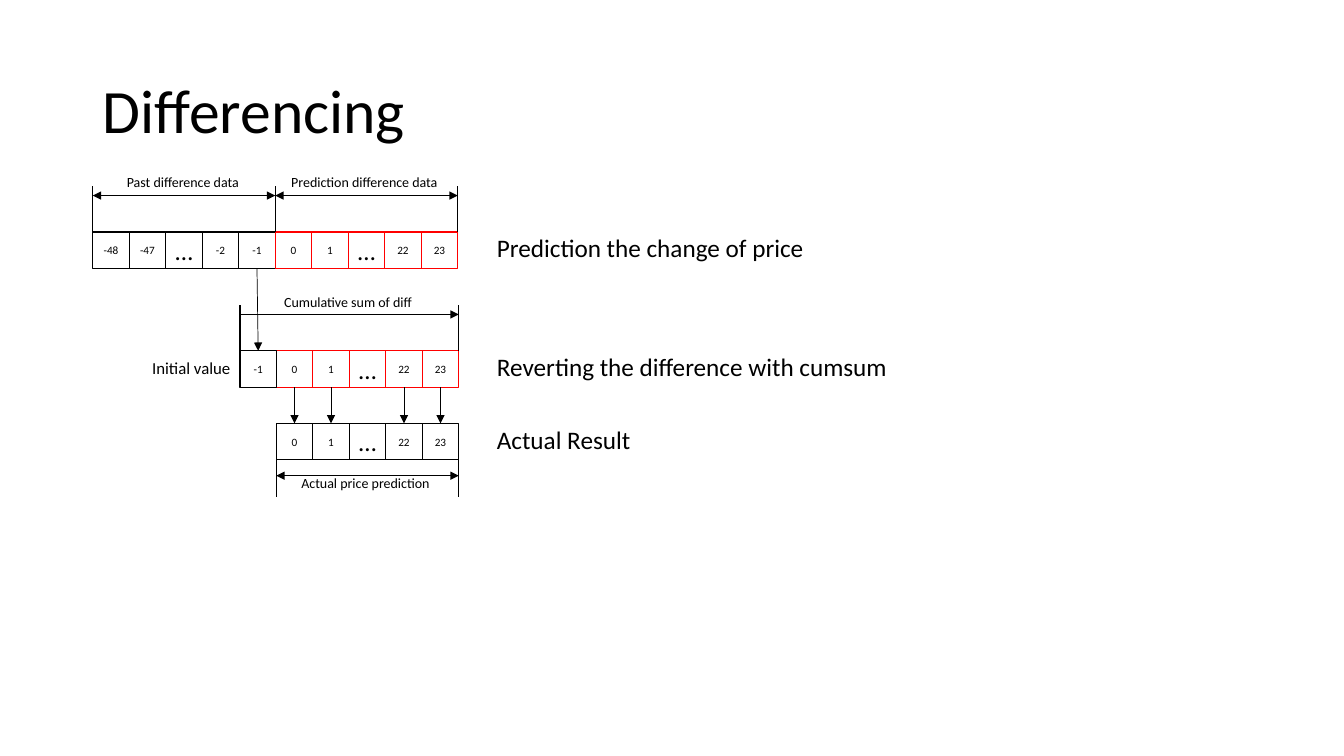
from itertools import pairwise

from lxml.etree import SubElement
from pptx import Presentation
from pptx.dml.color import RGBColor
from pptx.enum.shapes import MSO_CONNECTOR, MSO_SHAPE
from pptx.enum.text import MSO_ANCHOR, PP_ALIGN
from pptx.oxml.ns import qn
from pptx.util import Inches, Pt

BLACK = "000000"
RED = "FF0000"
CELL = 1.81 / 5
TICK_HEIGHT = 0.45
FUTURE = ["0", "1", "…", "22", "23"]


def color(value):
    return RGBColor.from_string(value)


def write(shape, text, size=10, align=PP_ALIGN.LEFT, anchor=MSO_ANCHOR.TOP, wrap=True, spacing=1.0):
    frame = shape.text_frame
    frame.word_wrap = wrap
    frame.vertical_anchor = anchor
    para = frame.paragraphs[0]
    para.alignment = align
    para.line_spacing = spacing
    span = para.add_run()
    span.text = text
    span.font.name = "Calibri"
    span.font.size = Pt(size)
    span.font.color.rgb = color(BLACK)


def add_label(page, text, left, top, width, height, **style):
    box = page.shapes.add_textbox(Inches(left), Inches(top), Inches(width), Inches(height))
    write(box, text, **style)


def add_cell(page, text, left, top, outline):
    box = page.shapes.add_shape(
        MSO_SHAPE.RECTANGLE, Inches(left), Inches(top), Inches(CELL), Inches(CELL))
    box.shadow.inherit = False
    box.fill.background()
    box.line.color.rgb = color(outline)
    box.line.width = Pt(1)
    frame = box.text_frame
    frame.margin_left = frame.margin_right = frame.margin_top = frame.margin_bottom = 0
    write(box, text, size=18 if text == "…" else 8,
          align=PP_ALIGN.CENTER, anchor=MSO_ANCHOR.MIDDLE, wrap=False)
    return box


def add_row(page, texts, left, top, outline):
    return [add_cell(page, text, left + index * CELL, top, outline)
            for index, text in enumerate(texts)]


def add_line(page, start, end, width=0.5, arrows=()):
    line = page.shapes.add_connector(
        MSO_CONNECTOR.STRAIGHT, *(Inches(value) for value in (*start, *end)))
    line.line.color.rgb = color(BLACK)
    line.line.width = Pt(width)
    outline = line.line._get_or_add_ln()
    for arrow in arrows:
        SubElement(outline, qn(f"a:{arrow}"), type="triangle")
    SubElement(line._element.spPr, qn("a:effectLst"))
    return line


def add_extent(page, edges, level, tick_top, arrows=("headEnd", "tailEnd")):
    for left, right in pairwise(edges):
        add_line(page, (left, level), (right, level), arrows=arrows)
    for edge in edges:
        add_line(page, (edge, tick_top), (edge, tick_top + TICK_HEIGHT), width=1)


def join_down(page, upper, lower):
    arrow = add_line(page, (0, 0), (1, 1), arrows=["tailEnd"])
    arrow.begin_connect(upper, 2)
    arrow.end_connect(lower, 0)


def main():
    deck = Presentation()
    deck.slide_width = Inches(13.33)
    deck.slide_height = Inches(7.5)
    page = deck.slides.add_slide(deck.slide_layouts[6])

    add_label(page, "Differencing", 0.92, 0.4, 11.5, 1.45,
              size=44, anchor=MSO_ANCHOR.MIDDLE, spacing=0.9)

    past = add_row(page, ["-48", "-47", "…", "-2", "-1"], 0.92, 2.3, BLACK)
    add_row(page, FUTURE, 2.73, 2.3, RED)
    summed = add_row(page, FUTURE, 2.74, 3.48, RED)
    initial = add_cell(page, "-1", 2.38, 3.48, BLACK)
    actual = add_row(page, FUTURE, 2.74, 4.2, BLACK)

    join_down(page, past[-1], initial)
    for text, upper, lower in zip(FUTURE, summed, actual):
        if text != "…":
            join_down(page, upper, lower)

    add_extent(page, [0.92, 2.73, 4.54], 1.94, 1.85)
    add_extent(page, [2.38, 4.55], 3.12, 3.03, arrows=["tailEnd"])
    add_extent(page, [2.74, 4.55], 4.72, 4.48)

    add_label(page, "Past difference data", 1.16, 1.67, 1.34, 0.27)
    add_label(page, "Prediction difference data", 2.79, 1.67, 1.68, 0.27)
    add_label(page, "Cumulative sum of diff", 2.72, 2.86, 1.49, 0.27)
    add_label(page, "Actual price prediction", 2.89, 4.66, 1.49, 0.27)
    add_label(page, "Initial value", 1.41, 3.5, 0.99, 0.3, size=12)

    for text, top, width in [
        ("Prediction the change of price", 2.26, 3.28),
        ("Reverting the difference with cumsum", 3.44, 4.12),
        ("Actual Result", 4.16, 1.54),
    ]:
        add_label(page, text, 4.83, top, width, 0.4, size=18, wrap=False)

    deck.save("out.pptx")


if __name__ == "__main__":
    main()
